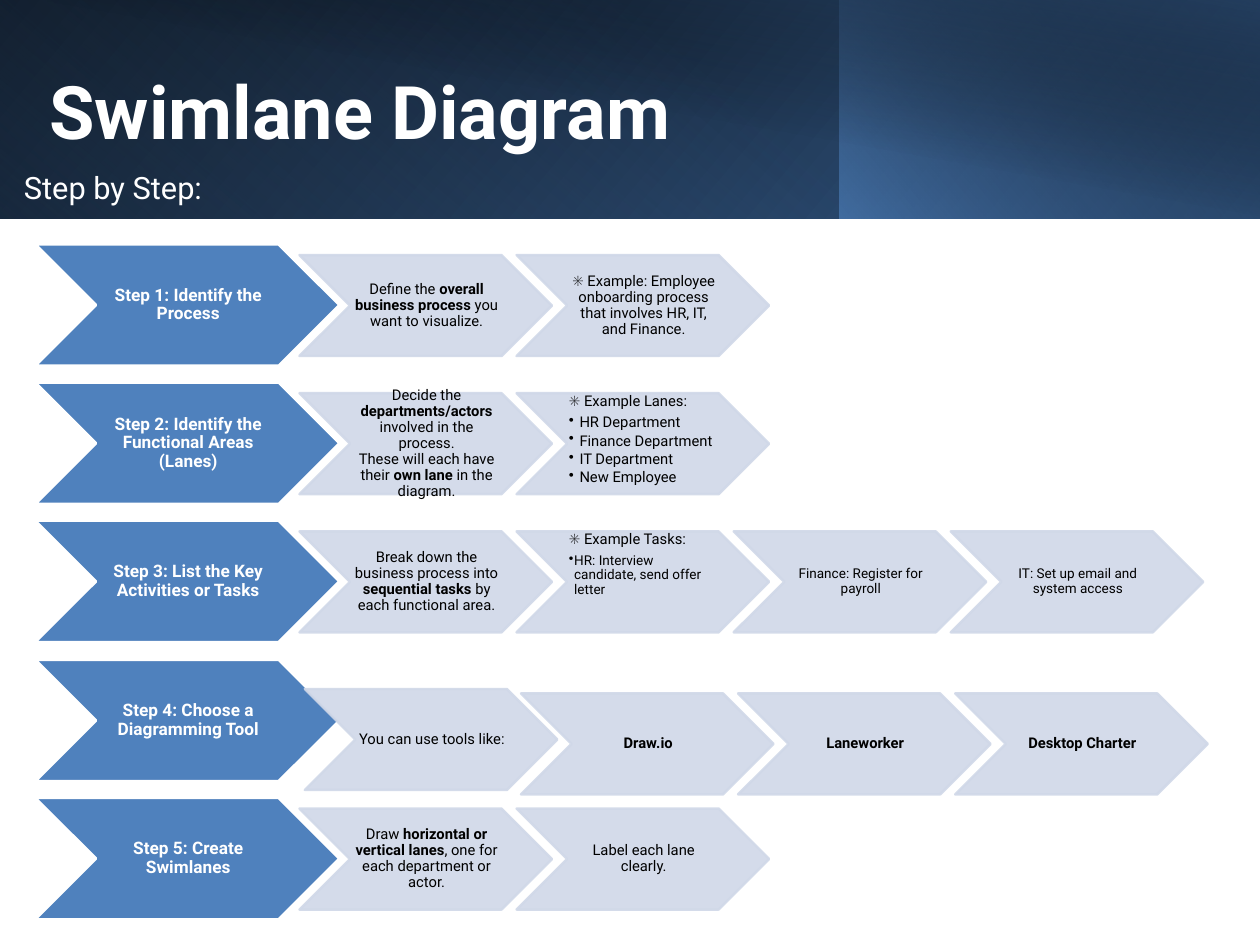
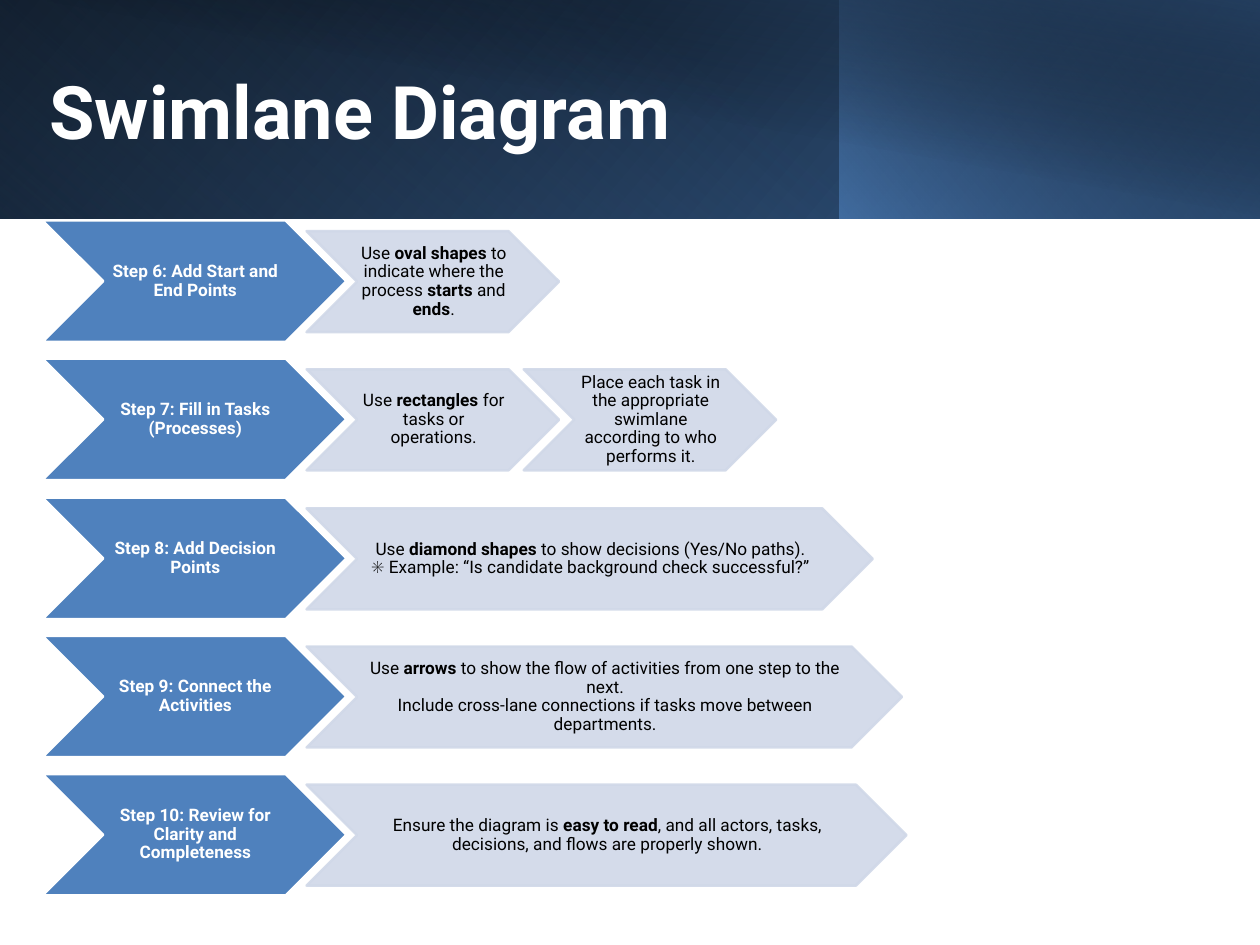
from dataclasses import dataclass

import pptx
import pptx.dml.color
import pptx.enum.shapes
import pptx.enum.text
import pptx.oxml
import pptx.oxml.ns
import pptx.util

RGB = pptx.dml.color.RGBColor
BLACK = RGB(0x00, 0x00, 0x00)
WHITE = RGB(0xFF, 0xFF, 0xFF)
BLUE = RGB(0x4F, 0x81, 0xBD)
DEEP_BLUE = RGB(0x37, 0x60, 0x92)
NAVY = RGB(0x25, 0x40, 0x61)
PALE = RGB(0xD0, 0xD8, 0xE8)

FONT = "Roboto"
PX = 9144  # 100 px to the inch
SLIDE_W, SLIDE_H = 1422, 1067
STEP_W, STEP_H = 343, 137
CARD_W, CARD_H = 285, 114
CARD_LEFT, CARD_DROP = 298, 12  # first card, measured from its step
CARD_PITCH, ROW_PITCH = 245, 156.25

SHAPE = pptx.enum.shapes.MSO_SHAPE
ALIGN = pptx.enum.text.PP_ALIGN
ANCHOR = pptx.enum.text.MSO_ANCHOR
qn = pptx.oxml.ns.qn

# Header layers: box, rotation, flipped, clockwise angle, (position, colour, opacity)
HEADER = [
    ((0, 0, 1422, 247), 0, True, 140, [(0, BLACK, 100), (100, DEEP_BLUE, 100)]),
    ((0, 0, 947, 247), 180, True, 230, [(20, BLUE, 0), (100, NAVY, 55)]),
    ((947, 0, 475, 247), 0, True, 220, [(0, BLUE, 66), (100, BLACK, 30)]),
    ((54, 0, 1368, 248), 0, False, 280, [(50, BLACK, 0), (99, NAVY, 52)]),
]


@dataclass
class Card:
    """A pale chevron; *stars* in its text mark bold words."""
    text: str
    size: int = 12
    width: int = CARD_W
    shift: tuple = (0, 0)
    bullets: tuple = ()
    bullet_size: int = 12
    hang: int = 12


class Deck:
    def __init__(self):
        self.prs = pptx.Presentation()
        self.prs.slide_width = SLIDE_W * PX
        self.prs.slide_height = SLIDE_H * PX
        self.slide = None

    def add_slide(self, title):
        self.slide = self.prs.slides.add_slide(self.prs.slide_layouts[6])
        for layer in HEADER:
            self.gradient(*layer)
        self.heading(title, (56, 74, 1154, 161), 60, bold=True)

    def shape(self, kind, box):
        shape = self.slide.shapes.add_shape(kind, *(v * PX for v in box))
        shape.shadow.inherit = False
        return shape

    def set_alpha(self, colour, percent):
        alpha = colour.makeelement(qn("a:alpha"), {"val": str(percent * 1000)})
        colour.append(alpha)

    def gradient(self, box, rotation, flipped, angle, stops):
        layer = self.shape(SHAPE.RECTANGLE, box)
        layer.rotation = rotation
        layer.line.fill.background()
        layer.fill.gradient()
        layer.fill.gradient_angle = 360 - angle
        for stop, (position, colour, _) in zip(layer.fill.gradient_stops, stops):
            stop.position = position / 100
            stop.color.rgb = colour
        properties = layer._element.spPr
        for colour, (_, _, opacity) in zip(properties.iter(qn("a:srgbClr")), stops):
            if opacity < 100:
                self.set_alpha(colour, opacity)
        if flipped:
            properties.find(qn("a:xfrm")).set("flipH", "1")

    def frame(self, shape, anchor, margins=(0, 0, 0, 0)):
        frame = shape.text_frame
        frame.word_wrap = True
        frame.vertical_anchor = anchor
        (frame.margin_left, frame.margin_top,
         frame.margin_right, frame.margin_bottom) = (v * PX for v in margins)
        return frame

    def add_text(self, paragraph, text, size, colour, bold=False, align=ALIGN.LEFT):
        paragraph.alignment = align
        for i, part in enumerate(text.split("*")):
            for j, line in enumerate(part.split("\n")):
                if j:
                    paragraph.add_line_break()
                if line:
                    run = paragraph.add_run()
                    run.text = line
                    run.font.name = FONT
                    run.font.size = pptx.util.Pt(size)
                    run.font.bold = bold or i % 2 == 1
                    run.font.color.rgb = colour

    def heading(self, text, box, size, bold=False, anchor=ANCHOR.TOP, align=ALIGN.LEFT):
        area = self.slide.shapes.add_textbox(*(v * PX for v in box))
        frame = self.frame(area, anchor)
        self.add_text(frame.paragraphs[0], text, size, WHITE, bold, align)

    def chevron(self, box, fill, line, anchor=ANCHOR.MIDDLE):
        chevron = self.shape(SHAPE.CHEVRON, box)
        chevron.fill.solid()
        chevron.fill.fore_color.rgb = fill
        chevron.line.color.rgb = line
        chevron.line.width = pptx.util.Pt(2)
        frame = self.frame(chevron, anchor, (2, 1, 0, 1))
        frame.paragraphs[0].line_spacing = 0.9
        return chevron, frame

    def step(self, left, top, text):
        _, frame = self.chevron((left, top, STEP_W, STEP_H), BLUE, WHITE)
        self.add_text(frame.paragraphs[0], text, 14, WHITE, True, ALIGN.CENTER)

    def card(self, left, top, card):
        anchor, align = ((ANCHOR.TOP, ALIGN.LEFT) if card.bullets
                         else (ANCHOR.MIDDLE, ALIGN.CENTER))
        box = (left + card.shift[0], top + card.shift[1], card.width, CARD_H)
        chevron, frame = self.chevron(box, PALE, PALE, anchor)
        for colour in chevron._element.spPr.iter(qn("a:srgbClr")):
            self.set_alpha(colour, 90)
        lead = frame.paragraphs[0]
        self.add_text(lead, card.text, card.size, BLACK, align=align)
        if card.bullets:
            lead.space_after = pptx.util.Pt(4.2)
        for text in card.bullets:
            self.bullet(frame.add_paragraph(), text, card)

    def bullet(self, paragraph, text, card):
        properties = paragraph._p.get_or_add_pPr()
        properties.set("marL", str(card.hang * PX))
        properties.set("indent", str(-card.hang * PX))
        properties.append(properties.makeelement(qn("a:buChar"), {"char": "•"}))
        paragraph.line_spacing = 0.9
        paragraph.space_after = pptx.util.Pt(1.8)
        self.add_text(paragraph, text, card.bullet_size, BLACK)

    def rows(self, left, top, steps):
        for i, (label, cards) in enumerate(steps):
            row_top = round(top + i * ROW_PITCH)
            self.step(left, row_top, label)
            for j, card in enumerate(cards):
                self.card(left + CARD_LEFT + j * CARD_PITCH, row_top + CARD_DROP, card)


TOOL_SHIFT = (5, 26)

FIRST_STEPS = [
    ("Step 1: Identify the Process", [
        Card("Define the *overall business process* you want to visualize."),
        Card("✳️ Example: Employee onboarding process that involves HR, IT, and Finance."),
    ]),
    ("Step 2: Identify the Functional Areas (Lanes)", [
        Card("Decide the *departments/actors* involved in the process.\n"
             "These will each have their *own lane* in the diagram."),
        Card("✳️ Example Lanes:", bullets=(
            "HR Department", "Finance Department", "IT Department", "New Employee")),
    ]),
    ("Step 3: List the Key Activities or Tasks", [
        Card("Break down the business process into *sequential tasks* "
             "by each functional area."),
        Card("✳️ Example Tasks:", bullet_size=11, hang=6,
             bullets=("HR: Interview candidate, send offer letter",)),
        Card("Finance: Register for payroll", 11),
        Card("IT: Set up email and system access", 11),
    ]),
    ("Step 4: Choose a Diagramming Tool", [
        Card("You can use tools like:", shift=(6, 21)),
        Card("*Draw.io*", shift=TOOL_SHIFT),
        Card("*Laneworker*", shift=TOOL_SHIFT),
        Card("*Desktop Charter*", shift=TOOL_SHIFT),
    ]),
    ("Step 5: Create Swimlanes", [
        Card("Draw *horizontal or vertical lanes*, one for each department or actor."),
        Card("Label each lane clearly."),
    ]),
]

LAST_STEPS = [
    ("Step 6: Add Start and End Points", [
        Card("Use *oval shapes* to indicate where the process *starts* and *ends*.", 14),
    ]),
    ("Step 7: Fill in Tasks (Processes)", [
        Card("Use *rectangles* for tasks or operations.", 14),
        Card("Place each task in the appropriate swimlane "
             "according to who performs it.", 14),
    ]),
    ("Step 8: Add Decision Points", [
        Card("Use *diamond shapes* to show decisions (Yes/No paths).\n"
             "✳️ Example: “Is candidate background check successful?”", 14, 639),
    ]),
    ("Step 9: Connect the Activities", [
        Card("Use *arrows* to show the flow of activities from one step to the next.\n"
             "Include cross-lane connections if tasks move between departments.", 14, 672),
    ]),
    ("Step 10: Review for Clarity and Completeness", [
        Card("Ensure the diagram is *easy to read*, and all actors, tasks, "
             "decisions, and flows are properly shown.", 14, 677),
    ]),
]


def main():
    deck = Deck()

    # Steps 1 to 5
    deck.add_slide("Swimlane Diagram")
    deck.heading("Step by Step:", (27, 100, 1369, 223), 25,
                 anchor=ANCHOR.MIDDLE, align=ALIGN.JUSTIFY)
    deck.rows(40, 276, FIRST_STEPS)

    # Steps 6 to 10
    deck.add_slide("Swimlane Diagram")
    deck.rows(48, 249, LAST_STEPS)

    deck.prs.save("out.pptx")


if __name__ == "__main__":
    main()
